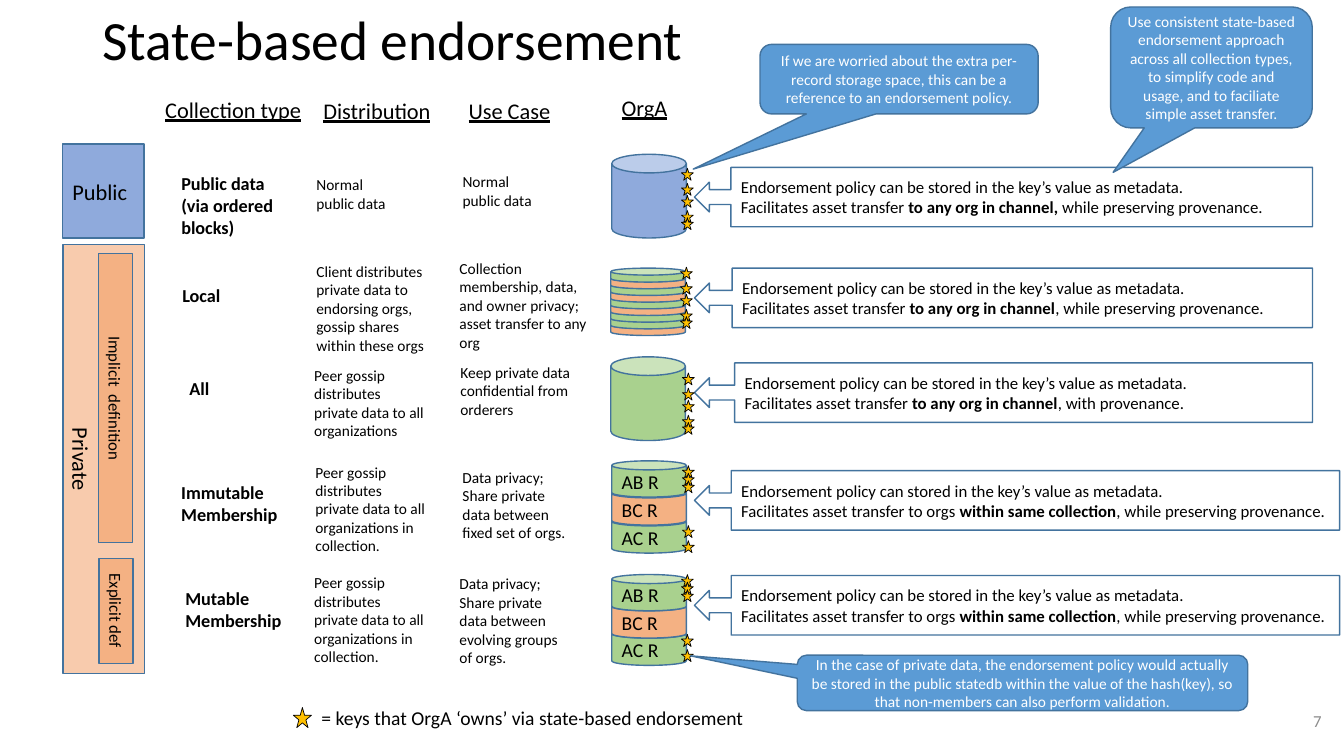
"""Build the state-based endorsement slide."""
from pptx import Presentation
from pptx.dml.color import RGBColor
from pptx.enum.shapes import MSO_SHAPE as Kind
from pptx.enum.text import MSO_ANCHOR as Anchor, PP_ALIGN as Align
from pptx.util import Pt

BLUE, GREEN, ORANGE, PEACH = "8FAADC", "A9D18E", "F4B183", "F8CBAD"
EDGE, CALL, GOLD = "43739E", "5B9BD5", "FFC000"
TINT = {"B": BLUE, "G": GREEN, "O": ORANGE}

STORED = "Endorsement policy can be stored in the key’s value as metadata.\n"
ANY = "Facilitates asset transfer *to any org in channel"
SAME = ("Facilitates asset transfer to orgs *within same collection*, "
        "while preserving provenance.")
GOSSIP = "Peer gossip distributes private data to all organizations"
SPREAD = (0, 10.8, 19.4, 30.2, 35.3)
SPLIT = (0, 5.4, 10.8, 42.8, 53.6)
ORGS = ("AB R", "BC R", "AC R")

ROWS = [
    dict(label=("Public data\n(via ordered\nblocks)", 122.4, 119.5, 80.6, 54.7),
         dist=("Normal public data", 218.9, 121.7, 70.6),
         use=("Normal public data", 323.3, 119.5, 70.6),
         cans=("B", 437, 110.2, 59.8, 0, 0.25, ("",)),
         stars=(486.7, 120.2, SPREAD),
         policy=(STORED + ANY + ", *while preserving provenance.", 119.5, 441.4, 0.941)),
    dict(label=("Local", 123.1, 199.4, 42.5, 23),
         dist=("Client distributes private data to endorsing orgs, "
               "gossip shares within these orgs", 218.9, 183.6, 93.6),
         use=("Collection membership, data, and owner privacy;\n"
              "asset transfer to any org", 321.1, 181.4, 105.1),
         cans=("GOGOGOGGO", 436.3, 191.5, 10, 4.77, 0.5, ("",) * 9),
         stars=(486, 190.8, SPREAD),
         policy=(STORED + ANY + "*, while preserving provenance.", 191.5, 441.4, 0.939)),
    dict(label=("All", 128.2, 265.7, 28.8, 23),
         dist=(GOSSIP, 217.4, 257.8, 93.6),
         use=("Keep private data confidential from orderers", 321.8, 255.6, 93.6),
         cans=("G", 436.3, 254.9, 59.8, 0, 0.25, ("",)),
         stars=(487.4, 266.4, SPREAD),
         policy=(STORED + ANY + "*, with provenance.", 259.2, 441.4, 0.935)),
    dict(label=("Immutable\nMembership", 122.4, 340.6, 84.2, 38.9),
         dist=(GOSSIP + " in collection.", 218.2, 326.9, 93.6),
         use=("Data privacy; Share private data between fixed set of orgs.",
              323.3, 330.5, 93.6),
         cans=("GOG", 437, 329.2, 25.9, 20, 0.25, ORGS),
         stars=(487.4, 332.6, SPLIT),
         policy=(STORED.replace("can be", "can") + SAME, 336.2, 460.8, 0.943)),
    dict(label=("Mutable\nMembership", 125.3, 416.2, 84.2, 38.9),
         dist=(GOSSIP + " in collection.", 217.4, 406.1, 93.6),
         use=("Data privacy; Share private data between evolving groups of orgs.",
              321.1, 406.8, 93.6),
         cans=("GOG", 437, 410.4, 25.9, 19.5, 0.25, ORGS),
         stars=(486.7, 410.4, SPLIT),
         policy=(STORED + SAME, 411.1, 460.8, 0.943)),
]
HEADS = [("Collection type", 110.9, 64.8, 113), ("Distribution", 223.9, 65.5, 92.2),
         ("Use Case", 327.6, 65.5, 73.4), ("OrgA", 437, 63.4, 47.5)]
BANDS = [("Public", (44.6, 103, 58.3, 67), BLUE, 0, 16, Anchor.MIDDLE, Align.LEFT),
         ("Private", (-79.2, 298.8, 306.7, 58.3), PEACH, 90, 16, Anchor.BOTTOM, Align.CENTER),
         ("Implicit  definition", (-20.9, 272.2, 206.6, 24.5), ORANGE, 90, 12,
          Anchor.MIDDLE, Align.CENTER),
         ("Explicit def", (45.4, 424.1, 74.9, 24.5), ORANGE, 90, 12,
          Anchor.MIDDLE, Align.CENTER)]
NOTES = [("Use consistent state-based endorsement approach across all collection types, "
          "to simplify code and usage, and to faciliate simple asset transfer.",
          (793.4, 5, 144, 86.4), (-0.488, 0.868)),
         ("If we are worried about the extra per-record storage space, "
          "this can be a reference to an endorsement policy.",
          (542.9, 31.7, 198.7, 49.7), (-0.74, 1.293)),
         ("In the case of private data, the endorsement policy would actually be stored "
          "in the public statedb within the value of the hash(key), so that non-members "
          "can also perform validation.", (569.5, 468, 321.8, 39.6), (-0.737, -0.488))]

deck = Presentation()
deck.slide_width, deck.slide_height = Pt(960), Pt(540)
slide = deck.slides.add_slide(deck.slide_layouts[6])


def tone(code):
    """Turn a hex string into a colour."""
    return RGBColor.from_string(code)


def write(frame, text, size=11, color="000000", bold=False, under=False,
          align=Align.LEFT, anchor=Anchor.MIDDLE, wrap=True, space=None):
    """Fill a frame with text, where asterisks switch bold on and off."""
    frame.word_wrap, frame.vertical_anchor = wrap, anchor
    for i, line in enumerate(text.split("\n")):
        para = frame.add_paragraph() if i else frame.paragraphs[0]
        para.alignment, para.line_spacing = align, space
        for j, part in enumerate(line.split("*")):
            run = para.add_run()
            run.text, font = part, run.font
            font.name, font.size, font.color.rgb = "Calibri", Pt(size), tone(color)
            font.bold, font.underline = bold or j % 2 == 1, under


def label(text, x, y, w, h, anchor=Anchor.TOP, **style):
    """Add a text box."""
    box = slide.shapes.add_textbox(Pt(x), Pt(y), Pt(w), Pt(h))
    write(box.text_frame, text, anchor=anchor, **style)


def draw(kind, x, y, w, h, fill, line=EDGE, width=1, turn=0, adjust=None):
    """Add a filled and outlined shape."""
    shape = slide.shapes.add_shape(kind, Pt(x), Pt(y), Pt(w), Pt(h))
    shape.shadow.inherit = False
    shape.fill.solid()
    shape.fill.fore_color.rgb = tone(fill)
    shape.line.color.rgb, shape.line.width = tone(line), Pt(width)
    shape.rotation = turn
    for i, value in (adjust or {}).items():
        shape.adjustments[i] = value
    return shape


def star(x, y, w=8.6, h=8.6):
    """Add a key star."""
    draw(Kind.STAR_5_POINT, x, y, w, h, GOLD, "000000", 0.5)


label("State-based endorsement", 66.2, 5, 825.1, 51.1, Anchor.MIDDLE, size=39.6, space=0.9)
for text, x, y, w in HEADS:
    label(text, x, y, w, 26.6, size=16, under=True, wrap=False)
for text, place, fill, turn, size, anchor, align in BANDS:
    band = draw(Kind.RECTANGLE, *place, fill, turn=turn)
    write(band.text_frame, text, size=size, anchor=anchor, align=align)

for row in ROWS:
    label(*row["label"], size=13, bold=True, wrap=False)
    for name in ("dist", "use"):
        label(*row[name], 74)
    tints, x, y, h, step, lid, words = row["cans"]
    for i in reversed(range(len(tints))):
        can = draw(Kind.CAN, x, y + i * step, 53.3, h, TINT[tints[i]], adjust={0: lid})
        if words[i]:
            write(can.text_frame, words[i], size=14)
    text, y, w, share = row["policy"]
    arrow = draw(Kind.LEFT_ARROW_CALLOUT, 496.1, y, w, 42.5, "FFFFFF", adjust={3: share})
    write(arrow.text_frame, text, size=12)
    x, y, gaps = row["stars"]
    for gap in gaps:
        star(x, y + gap)

for text, place, (dx, dy) in NOTES:
    note = draw(Kind.ROUNDED_RECTANGULAR_CALLOUT, *place, CALL, adjust={0: dx, 1: dy})
    write(note.text_frame, text, color="FFFFFF", align=Align.CENTER)
star(209.5, 505.4, 13, 14.4)
label("= keys that OrgA ‘owns’ via state-based endorsement", 222.5, 500.4, 319, 24.5,
      size=14, wrap=False)
label("7", 735.1, 500.4, 216, 28.8, Anchor.MIDDLE, size=12, color="8C8C8C", align=Align.RIGHT)
deck.save("out.pptx")
